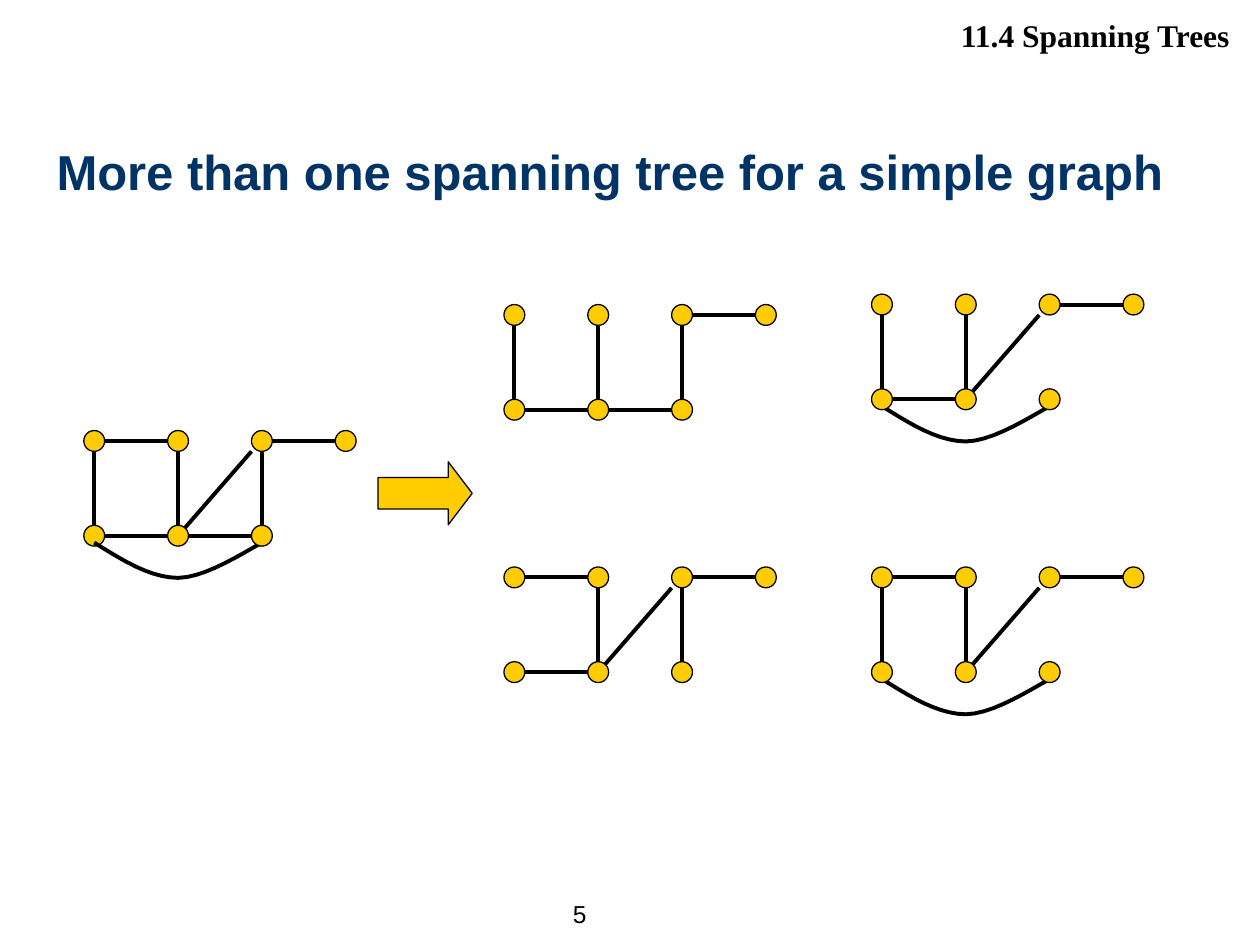
import pptx
import pptx.util
import pptx.dml.color
import pptx.enum.shapes
import pptx.enum.text
import pptx.oxml.ns
import lxml.etree

Cm, Pt = pptx.util.Cm, pptx.util.Pt
ALIGN = pptx.enum.text.PP_ALIGN
ANCHOR = pptx.enum.text.MSO_ANCHOR
SHAPE = pptx.enum.shapes.MSO_SHAPE

SECTION = "11.4 Spanning Trees"
TITLE = "More than one spanning tree for a simple graph"
PAGE = "5"

NODES = {"a": (0, 0), "b": (1, 0), "c": (2, 0), "d": (3, 0),
         "e": (0, 1), "f": (1, 1), "g": (2, 1)}
ARC = "arc"
GRAPHS = [
    {"origin": (1.9, 8.89), "edges": "ab cd ae ef fg bf fc cg arc", "under": "e"},
    {"origin": (10.37, 6.35), "edges": "cd ae ef fg bf cg", "under": ""},
    {"origin": (10.37, 11.64), "edges": "ab cd ef bf fc cg", "under": ""},
    {"origin": (17.78, 6.14), "edges": "cd ae ef bf fc arc", "under": ""},
    {"origin": (17.78, 11.64), "edges": "ab cd ae bf fc arc", "under": ""},
]

THEME = {
    "sans": "Arial", "serif": "Times New Roman",
    "ink": "000000", "title": "003366", "node": "FFCC00",
    "title_size": 28, "section_size": 18, "page_size": 14,
    "outline": 0.75, "edge": 2.25,
}

STEP_X, STEP_Y, RADIUS = 1.69, 1.91, 0.21
ARC_START = (0, 0.14)
ARC_CURVES = [
    ((0.56, 0.49), (1.13, 0.85), (1.69, 0.85)),
    ((2.26, 0.85), (3.1, 0.28), (3.39, 0.14)),
    ((3.67, 0), (3.53, 0), (3.39, 0)),
]
ARC_SAMPLES = 10


def color(name):
    return pptx.dml.color.RGBColor.from_string(THEME[name])


def write(holder, text, font, size, ink, bold=False, align=ALIGN.LEFT,
          anchor=ANCHOR.TOP, right=0.25):
    frame = holder.text_frame
    frame.text = text
    frame.word_wrap = True
    frame.auto_size = pptx.enum.text.MSO_AUTO_SIZE.NONE
    frame.vertical_anchor = anchor
    frame.margin_left, frame.margin_right = Cm(0.25), Cm(right)
    frame.margin_top = frame.margin_bottom = Cm(0.13)
    paragraph = frame.paragraphs[0]
    paragraph.alignment = align
    run_font = paragraph.runs[0].font
    run_font.name, run_font.size = THEME[font], Pt(THEME[size])
    run_font.bold, run_font.color.rgb = bold, color(ink)


def paint(figure):
    figure.shadow.inherit = False
    figure.fill.solid()
    figure.fill.fore_color.rgb = color("node")
    figure.line.color.rgb = color("ink")
    figure.line.width = Pt(THEME["outline"])


def stroke(line):
    line.color.rgb = color("ink")
    line.width = Pt(THEME["edge"])


def center(origin, name):
    column, row = NODES[name]
    return origin[0] + column * STEP_X, origin[1] + row * STEP_Y


def draw_node(group, origin, name):
    x, y = center(origin, name)
    node = group.shapes.add_shape(SHAPE.OVAL, Cm(x - RADIUS), Cm(y - RADIUS),
                                  Cm(2 * RADIUS), Cm(2 * RADIUS))
    paint(node)


def draw_edge(group, origin, start, end):
    (x1, y1), (x2, y2) = center(origin, start), center(origin, end)
    if start + end == "fc":
        x2, y2 = x2 - RADIUS, y2 + RADIUS
    elif y1 == y2:
        x1, x2 = x1 + RADIUS, x2 - RADIUS
    else:
        y1, y2 = y1 + RADIUS, y2 - RADIUS
    edge = group.shapes.add_connector(pptx.enum.shapes.MSO_CONNECTOR.STRAIGHT,
                                      Cm(x1), Cm(y1), Cm(x2), Cm(y2))
    stroke(edge.line)
    lxml.etree.SubElement(edge._element.spPr, pptx.oxml.ns.qn("a:effectLst"))


def bezier(points, t):
    weights = ((1 - t) ** 3, 3 * t * (1 - t) ** 2, 3 * t * t * (1 - t), t ** 3)
    return tuple(sum(w * p[axis] for w, p in zip(weights, points)) for axis in (0, 1))


def draw_arc(group, origin):
    left, top = center(origin, "e")
    points = [ARC_START]
    for curve in ARC_CURVES:
        controls = (points[-1],) + curve
        points += [bezier(controls, i / ARC_SAMPLES) for i in range(1, ARC_SAMPLES + 1)]
    outline = [(Cm(left + x), Cm(top + y)) for x, y in points]
    builder = group.shapes.build_freeform(*outline[0])
    builder.add_line_segments(outline[1:], close=False)
    arc = builder.convert_to_shape()
    arc.shadow.inherit = False
    arc.fill.background()
    stroke(arc.line)


def draw_graph(slide, origin, edges, under):
    group = slide.shapes.add_group_shape()
    for name in under:
        draw_node(group, origin, name)
    for edge in edges.split():
        if edge == ARC:
            draw_arc(group, origin)
        else:
            draw_edge(group, origin, *edge)
    for name in NODES:
        if name not in under:
            draw_node(group, origin, name)


def main():
    deck = pptx.Presentation()
    deck.slide_width, deck.slide_height = Cm(25.4), Cm(19.05)
    slide = deck.slides.add_slide(deck.slide_layouts[5])

    title = slide.shapes.title
    title.left, title.top, title.width, title.height = Cm(0.89), Cm(2.72), Cm(23.6), Cm(2.21)
    write(title, TITLE, "sans", "title_size", "title", bold=True)

    page = slide.shapes.add_textbox(Cm(11.3), Cm(17.78), Cm(1.7), Cm(1.27))
    write(page, PAGE, "sans", "page_size", "ink", anchor=ANCHOR.MIDDLE)

    section = slide.shapes.add_textbox(Cm(10.11), Cm(0.2), Cm(15.09), Cm(1.02))
    write(section, SECTION, "serif", "section_size", "ink", bold=True,
          align=ALIGN.RIGHT, right=0.41)

    arrow = slide.shapes.add_shape(SHAPE.RIGHT_ARROW, Cm(7.62), Cm(9.31), Cm(1.9), Cm(1.27))
    arrow.adjustments[0], arrow.adjustments[1] = 0.5, 0.38
    paint(arrow)

    for graph in GRAPHS:
        draw_graph(slide, **graph)

    deck.save("out.pptx")


if __name__ == "__main__":
    main()
